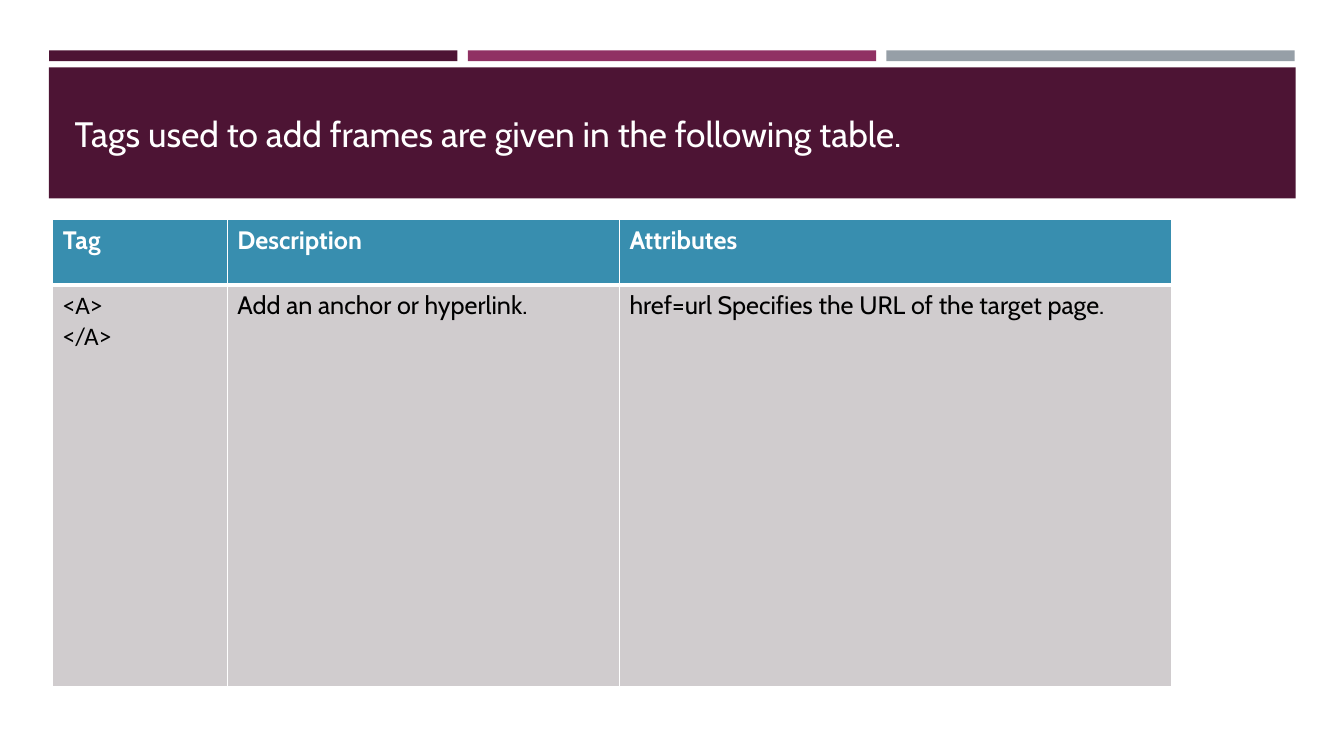
from pptx import Presentation
from pptx.dml.color import RGBColor
from pptx.enum.shapes import MSO_SHAPE
from pptx.enum.text import MSO_ANCHOR
from pptx.oxml import parse_xml
from pptx.oxml.ns import nsdecls
from pptx.util import Cm, Pt

PLUM = "4D1434"
WHITE = "FFFFFF"
BLACK = "000000"
HEADER_BLUE = "388EAF"
BODY_GREY = "D0CCCE"
BAR_COLOURS = [PLUM, "903163", "969FA7"]
COLUMN_WIDTHS = [4.4, 9.88, 13.92]
ROW_HEIGHTS = [1.65, 10.11]
TAG_ROWS = [
    ["Tag", "Description", "Attributes"],
    ["<A>\n</A>", "Add an anchor or hyperlink.",
     "href=url Specifies the URL of the target page."],
]


def colour(value):
    return RGBColor.from_string(value)


def paint(target, value):
    target.fill.solid()
    target.fill.fore_color.rgb = colour(value)


def add_block(page, left, top, width, height, fill):
    block = page.shapes.add_shape(
        MSO_SHAPE.RECTANGLE, Cm(left), Cm(top), Cm(width), Cm(height))
    block.shadow.inherit = False
    block.line.fill.background()
    paint(block, fill)


def write(frame, text, size, value, font="Cabin", bold=False):
    frame.text = text
    for para in frame.paragraphs:
        for span in para.runs:
            span.font.name = font
            span.font.size = Pt(size)
            span.font.bold = bold
            span.font.color.rgb = colour(value)


def add_title(page, text):
    box = page.shapes.add_textbox(Cm(1.63), Cm(1.7), Cm(30.63), Cm(3.3))
    frame = box.text_frame
    frame.word_wrap = True
    frame.vertical_anchor = MSO_ANCHOR.MIDDLE
    write(frame, text, 25.2, WHITE)


def add_borders(cell, **widths):
    properties = cell._tc.get_or_add_tcPr()
    for position, side in enumerate("LRTB"):
        width = Pt(widths.get(side, 1))
        properties.insert(position, parse_xml(
            f'<a:ln{side} {nsdecls("a")} w="{width}"><a:solidFill>'
            f'<a:srgbClr val="{WHITE}"/></a:solidFill></a:ln{side}>'))


def add_tag_table(page):
    table = page.shapes.add_table(
        len(TAG_ROWS), len(COLUMN_WIDTHS), Cm(1.33), Cm(5.54),
        Cm(sum(COLUMN_WIDTHS)), Cm(sum(ROW_HEIGHTS))).table
    for column, width in zip(table.columns, COLUMN_WIDTHS):
        column.width = Cm(width)
    for row, height in zip(table.rows, ROW_HEIGHTS):
        row.height = Cm(height)
    for index, text in enumerate(TAG_ROWS[0]):
        cell = table.cell(0, index)
        paint(cell, HEADER_BLUE)
        add_borders(cell, B=3)
        write(cell.text_frame, text, 18, WHITE, bold=True)
    for index, text in enumerate(TAG_ROWS[1]):
        cell = table.cell(1, index)
        paint(cell, BODY_GREY)
        add_borders(cell, T=3)
        font = "Calibri" if index == 0 else "Cabin"
        write(cell.text_frame, text, 18, BLACK, font)


def main():
    deck = Presentation()
    deck.slide_width = Cm(33.87)
    deck.slide_height = Cm(19.05)
    page = deck.slides.add_slide(deck.slide_layouts[6])
    for index, fill in enumerate(BAR_COLOURS):
        add_block(page, 1.24 + index * 10.55, 1.27, 10.29, 0.27, fill)
    add_block(page, 1.23, 1.7, 31.42, 3.3, PLUM)
    add_title(page, "Tags used to add frames are given in the following table.")
    add_tag_table(page)
    deck.save("out.pptx")


if __name__ == "__main__":
    main()
